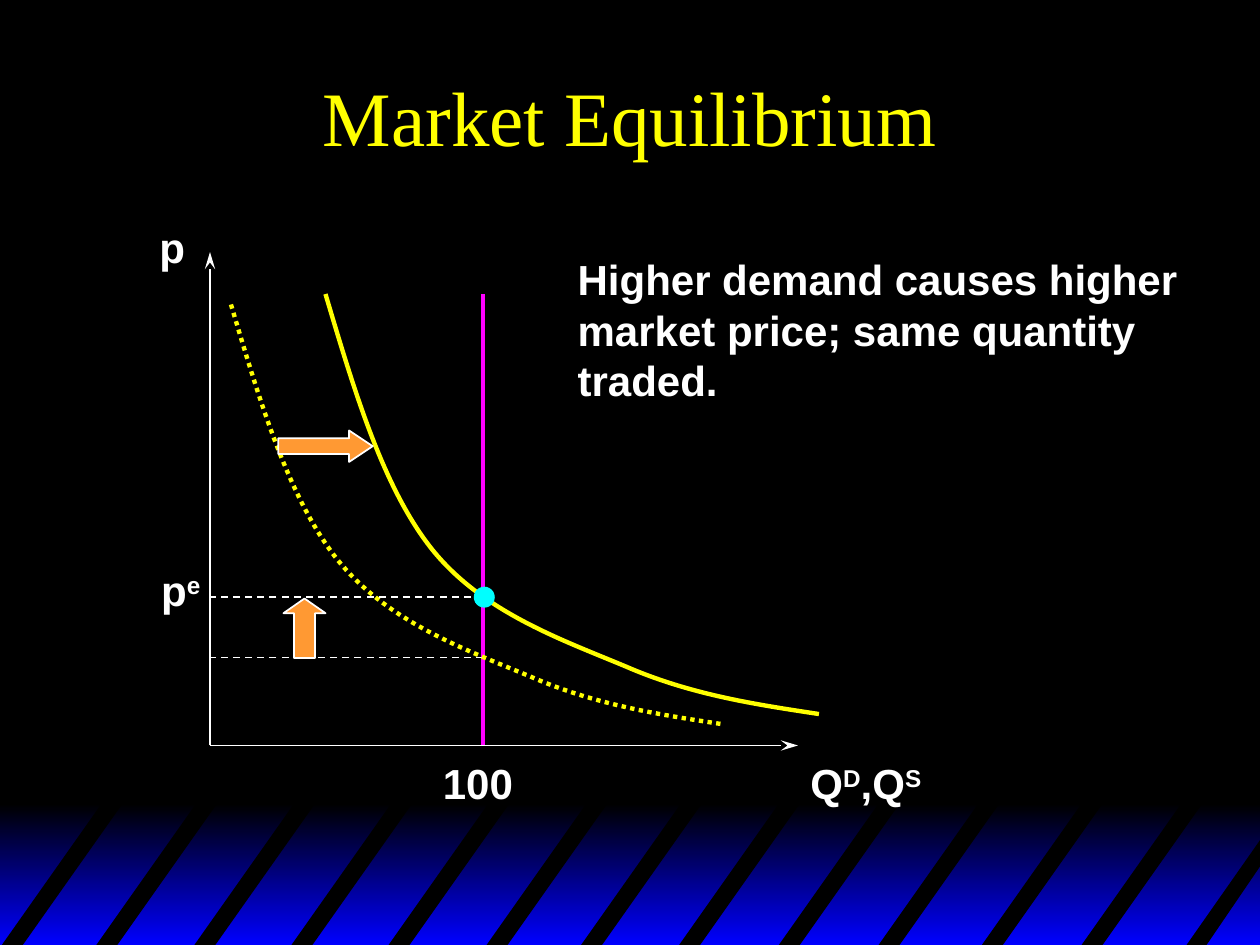
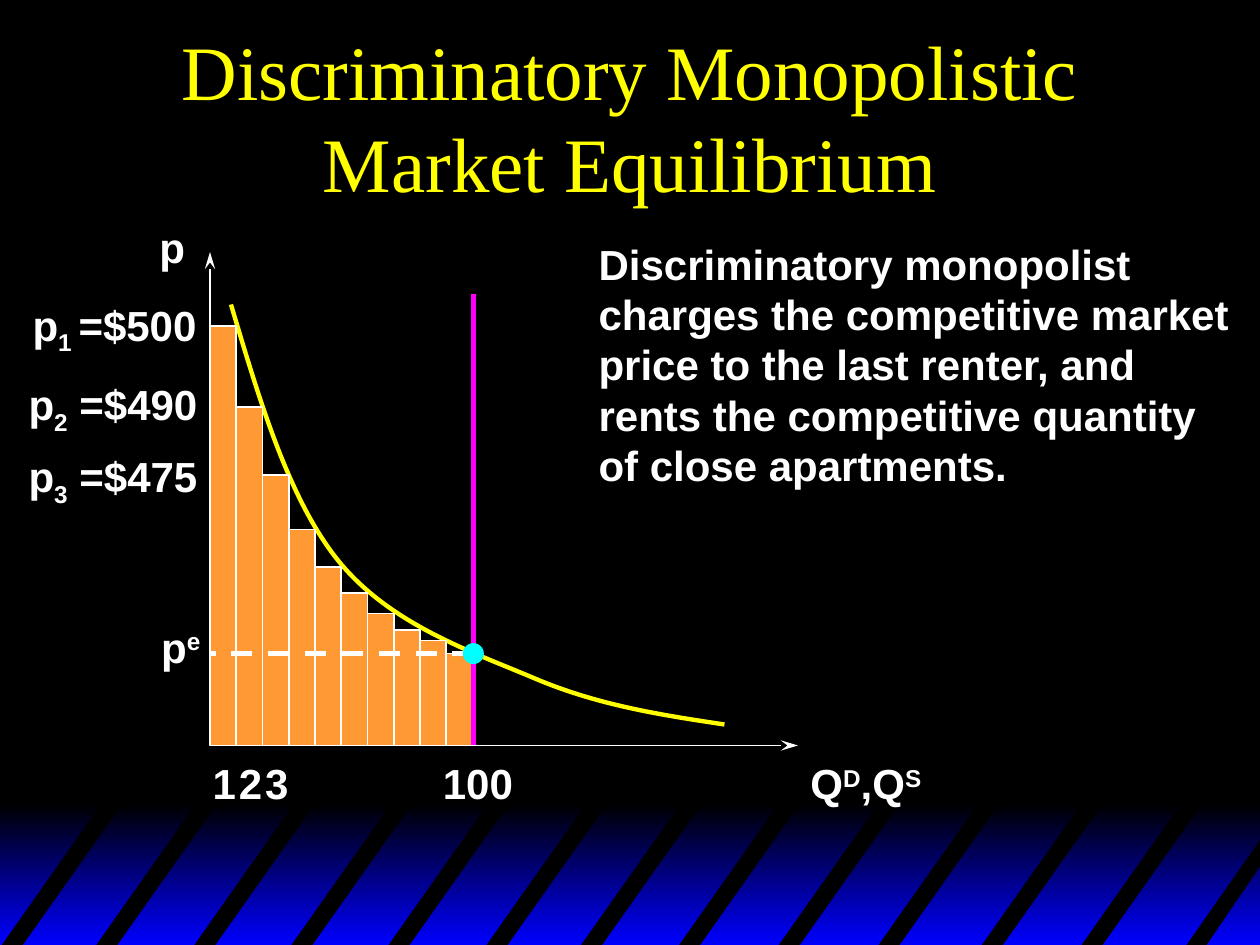
from lxml import etree
from pptx import Presentation
from pptx.dml.color import RGBColor
from pptx.enum.dml import MSO_LINE
from pptx.enum.shapes import MSO_CONNECTOR, MSO_SHAPE
from pptx.enum.text import MSO_ANCHOR, PP_ALIGN
from pptx.oxml.ns import qn
from pptx.util import Pt

STRAIGHT = MSO_CONNECTOR.STRAIGHT
RECTANGLE, ELLIPSE = MSO_SHAPE.RECTANGLE, MSO_SHAPE.OVAL
RIGHT_ARROW, UP_ARROW = MSO_SHAPE.RIGHT_ARROW, MSO_SHAPE.UP_ARROW
DASH, DOTS = MSO_LINE.DASH, MSO_LINE.ROUND_DOT
MIDDLE, TOP = MSO_ANCHOR.MIDDLE, MSO_ANCHOR.TOP
CENTER, LEFT = PP_ALIGN.CENTER, PP_ALIGN.LEFT

BLACK, WHITE, BLUE = "000000", "FFFFFF", "0000FF"
YELLOW, MAGENTA, ORANGE, CYAN = "FFFF00", "FF00FF", "FF9933", "00FFFF"

TITLE_FONT = {"name": "Times New Roman", "size": Pt(44), "bold": False}
BODY_FONT = {"name": "Arial", "size": Pt(24), "bold": True}
SUPER, SUB = 30000, -25000

WIDTH, HEIGHT = 720, 540
ORIGIN_X, ORIGIN_Y = 120, 426
AXIS_TOP, AXIS_RIGHT = 144, 456
SUPPLY_TOP = 168
LABEL_TOP = 429.5
BAR_WIDTH = 15
BAR_TOPS = (186.5, 232.5, 271.5, 302.5, 324, 339, 350.5, 360, 366, 373.5)

STRIPE_LEFTS = (0, 54, 110, 165.5, 221, 277, 331, 387, 444, 501, 560, 617)
STRIPE_TOP, STRIPE_BOTTOM, STRIPE_LEAN, STRIPE_WIDTH = 456.5, 541.5, 60, 12
CORNER_STRIPE = ((677, 541.5), (721.5, 478), (721.5, 493), (688.5, 541.5))

# Bezier control points of the demand curve, relative to its start
DEMAND = ((16.5, 55.5), (33, 111), (61, 146), (90, 182), (135, 197.5),
          (172, 213), (209, 229), (245.5, 234.5), (282, 240))
DEMAND_START = (132, 174)
RAISED_DEMAND_START = (186, 168)


def color(hex_text):
    return RGBColor.from_string(hex_text)


def points(*lengths):
    return [Pt(length) for length in lengths]


class Deck:
    """Holds the shared style and the slide being drawn."""

    def __init__(self):
        self.presentation = Presentation()
        self.presentation.slide_width = Pt(WIDTH)
        self.presentation.slide_height = Pt(HEIGHT)

    def new_slide(self, title):
        slide = self.presentation.slides.add_slide(
            self.presentation.slide_layouts[6])
        self.shapes = slide.shapes
        slide.background.fill.solid()
        slide.background.fill.fore_color.rgb = color(BLACK)
        self.striped_band()
        self.text([(title, 0)], 54, 18, 612, 96, TITLE_FONT, YELLOW,
                  anchor=MIDDLE, align=CENTER, wrap=True)

    def striped_band(self):
        band = self.shape(RECTANGLE, 0, 459.5, WIDTH, 80.5, BLACK)
        band.fill.gradient()
        band.fill.gradient_angle = 270
        for stop, shade in zip(band.fill.gradient_stops, (BLACK, BLUE)):
            stop.color.rgb = color(shade)
        for left in STRIPE_LEFTS:
            top_left = left + STRIPE_LEAN
            self.polygon(((left, STRIPE_BOTTOM), (top_left, STRIPE_TOP),
                          (top_left + STRIPE_WIDTH, STRIPE_TOP),
                          (left + STRIPE_WIDTH, STRIPE_BOTTOM)))
        self.polygon(CORNER_STRIPE)

    def outline(self, vertices, close):
        start, *others = [points(*vertex) for vertex in vertices]
        builder = self.shapes.build_freeform(*start)
        builder.add_line_segments(others, close)
        freeform = builder.convert_to_shape()
        freeform.shadow.inherit = False
        return freeform

    def polygon(self, vertices):
        self.paint(self.outline(vertices, True), BLACK)

    def curve(self, start, dash=None):
        """Draw the demand curve, turning each three points into a Bezier."""
        x, y = start
        demand = self.outline(
            [start] + [(x + dx, y + dy) for dx, dy in DEMAND], False)
        demand.fill.background()
        self.stroke(demand.line, YELLOW, 2.5, dash)
        segments = list(demand._element.iter(qn("a:lnTo")))
        for first in range(0, len(segments), 3):
            bezier = etree.Element(qn("a:cubicBezTo"))
            segments[first].addprevious(bezier)
            for segment in segments[first:first + 3]:
                bezier.append(segment[0])
                segment.getparent().remove(segment)

    def stroke(self, line, hex_text, width, dash=None):
        line.color.rgb = color(hex_text)
        line.width = Pt(width)
        if dash:
            line.dash_style = dash

    def paint(self, shape, fill, border=None):
        shape.fill.solid()
        shape.fill.fore_color.rgb = color(fill)
        if border:
            self.stroke(shape.line, border, 1)
        else:
            shape.line.fill.background()

    def shape(self, kind, left, top, width, height, fill, border=None,
              adjustments=()):
        shape = self.shapes.add_shape(kind, *points(left, top, width, height))
        shape.shadow.inherit = False
        self.paint(shape, fill, border)
        for index, value in enumerate(adjustments):
            shape.adjustments[index] = value
        return shape

    def line(self, start, end, hex_text=WHITE, width=1, dash=None,
             arrow=False):
        connector = self.shapes.add_connector(
            STRAIGHT, *points(*start, *end))
        self.stroke(connector.line, hex_text, width, dash)
        if arrow:
            etree.SubElement(connector.line._get_or_add_ln(),
                             qn("a:tailEnd"), type="stealth", len="lg")
        etree.SubElement(connector._element.spPr, qn("a:effectLst"))

    def text(self, runs, left, top, width, height=36, font=BODY_FONT,
             hex_text=WHITE, anchor=TOP, align=LEFT, wrap=False):
        """Write (text, baseline shift) runs; a newline breaks the line."""
        frame = self.shapes.add_textbox(
            *points(left, top, width, height)).text_frame
        frame.word_wrap = wrap
        frame.vertical_anchor = anchor
        paragraph = frame.paragraphs[0]
        paragraph.alignment = align
        paragraph.line_spacing = Pt(font["size"].pt * 1.2)
        for words, shift in runs:
            for number, row in enumerate(words.split("\n")):
                if number:
                    paragraph.add_line_break()
                run = paragraph.add_run()
                run.text = row
                run.font.color.rgb = color(hex_text)
                for attribute, value in font.items():
                    setattr(run.font, attribute, value)
                if shift:
                    run.font._element.set("baseline", str(shift))

    def axes(self):
        origin = (ORIGIN_X, ORIGIN_Y)
        self.line(origin, (ORIGIN_X, AXIS_TOP), arrow=True)
        self.line(origin, (AXIS_RIGHT, ORIGIN_Y), arrow=True)
        self.text([("p", 0)], 84, 123, 36)
        self.text([("Q", 0), ("D", SUPER), (",Q", 0), ("S", SUPER)],
                  456, LABEL_TOP, 90)
        self.text([("100", 0)], 246, LABEL_TOP, 66)

    def supply(self, x):
        self.line((x, ORIGIN_Y), (x, SUPPLY_TOP), MAGENTA, 2.5)

    def price_line(self, x, y, width=1):
        self.line((x, y), (ORIGIN_X, y), WHITE, width, DASH)

    def equilibrium(self, x, y):
        self.text([("p", 0), ("e", SUPER)], 85, y - 22, 48)
        self.shape(ELLIPSE, x - 6, y - 6, 12, 12, CYAN)


def draw_demand_shift(deck):
    quantity, old_price, new_price = 276, 375.75, 341.25
    deck.new_slide("Market Equilibrium")
    deck.supply(quantity)
    deck.axes()
    deck.price_line(quantity, old_price)
    deck.curve(DEMAND_START, DOTS)
    deck.curve(RAISED_DEMAND_START)
    deck.shape(RIGHT_ARROW, 159, 246, 54, 18, ORANGE, WHITE, (0.5, 0.75))
    deck.text([("Higher demand causes higher\nmarket price; same quantity\n"
                "traded.", 0)], 323, 141.5, 370, 93.5)
    deck.price_line(quantity, new_price)
    deck.equilibrium(quantity + 0.75, new_price)
    deck.shape(UP_ARROW, 162, 342, 24, 34, ORANGE, WHITE, (0.5, 0.35))


def draw_discriminating_monopoly(deck):
    quantity, price = 270.5, BAR_TOPS[-1]
    deck.new_slide("Discriminatory Monopolistic Market Equilibrium")
    deck.axes()
    deck.curve(DEMAND_START)
    for renter, top in enumerate(BAR_TOPS):
        deck.shape(RECTANGLE, ORIGIN_X + renter * BAR_WIDTH, top,
                   BAR_WIDTH, ORIGIN_Y - top, ORANGE, WHITE)
    price_labels = (("1 ", "=$500", 11.5, 171.5), ("2", " =$490", 9.25, 217),
                    ("3", " =$475", 9.25, 258))
    for renter, (subscript, amount, left, top) in enumerate(price_labels):
        deck.text([("p", 0), (subscript, SUB), (amount, 0)],
                  left, top, 120)
        deck.text([(str(renter + 1), 0)],
                  114.5 + renter * BAR_WIDTH, LABEL_TOP, 36)
    deck.supply(quantity)
    deck.price_line(quantity, price, 3)
    deck.equilibrium(quantity, price)
    deck.text([("Discriminatory monopolist\ncharges the competitive market\n"
                "price to the last renter, and\nrents the competitive quantity"
                "\nof close apartments.", 0)], 335, 132.5, 382, 151)


def main():
    deck = Deck()
    draw_demand_shift(deck)
    draw_discriminating_monopoly(deck)
    deck.presentation.save("out.pptx")


if __name__ == "__main__":
    main()
